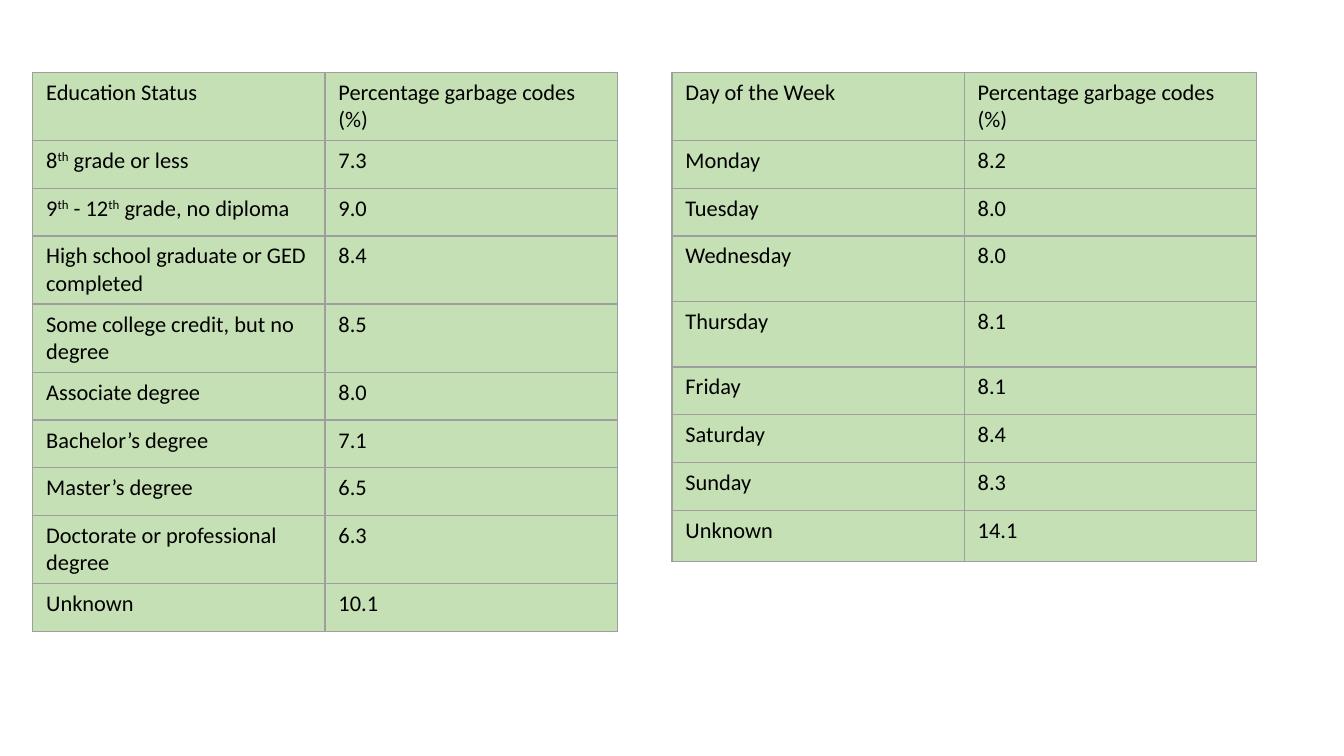
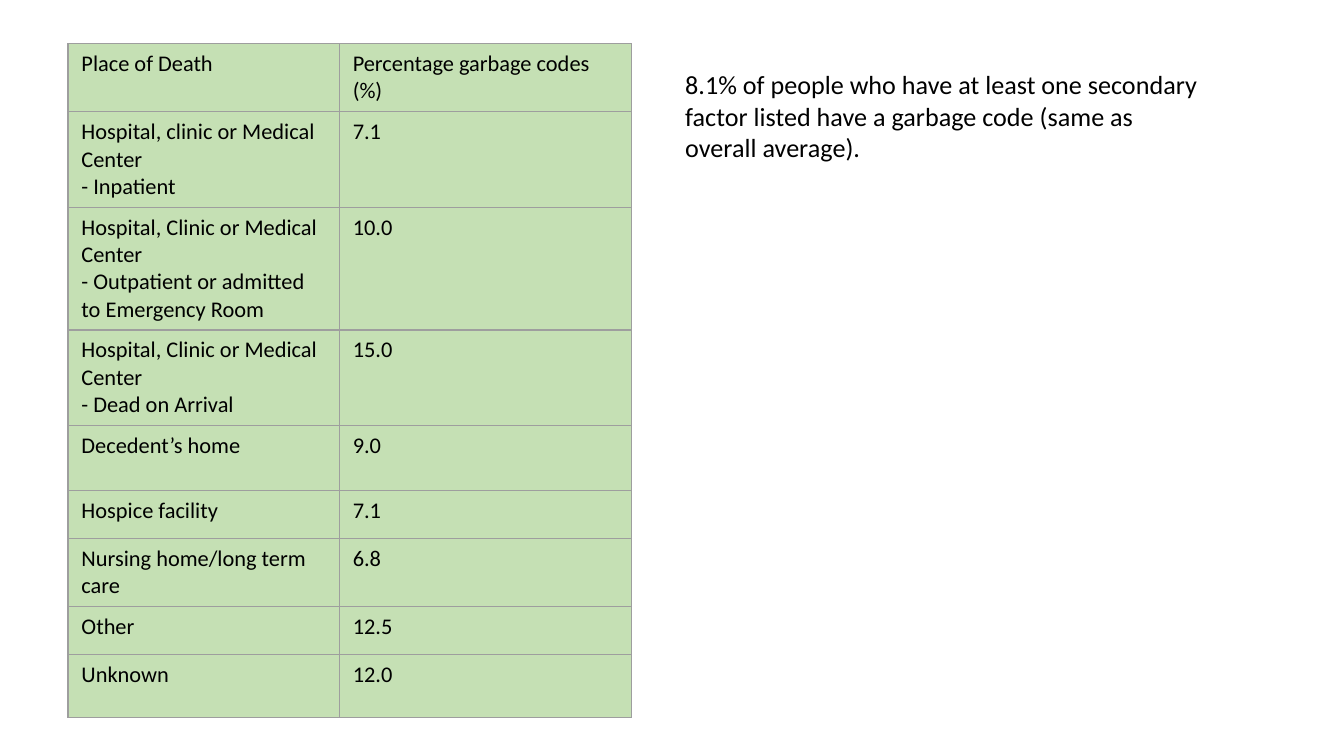
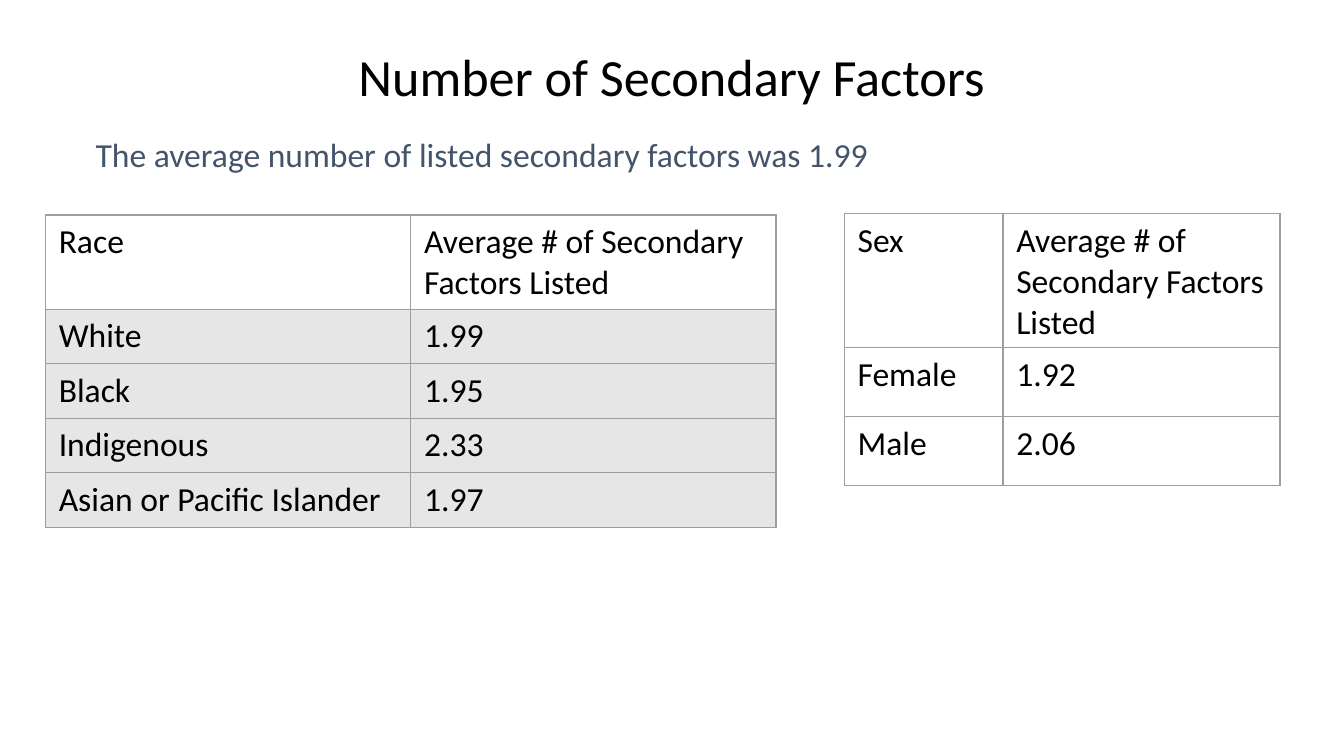
from lxml.etree import SubElement
from pptx import Presentation
from pptx.dml.color import RGBColor
from pptx.enum.text import MSO_ANCHOR, PP_ALIGN
from pptx.oxml.ns import qn
from pptx.util import Pt

PX = 5715  # EMU per px: 160 px to the inch
BLACK = RGBColor(0x00, 0x00, 0x00)
SLATE = RGBColor(0x44, 0x54, 0x6A)
GREEN = RGBColor(0xC5, 0xE0, 0xB4)
GRAY = RGBColor(0xE7, 0xE6, 0xE6)
BORDER = RGBColor(0x9E, 0x9E, 0x9E)

GARBAGE = "Percentage garbage codes (%)"
FACTORS = "Average # of Secondary Factors Listed"
ONE_LINE, TWO_LINES = 57, 78
GREEN_COLUMN = 348


def write(frame, text, size, color=BLACK):
    """Write text: \\n parts paragraphs, \\v breaks a line, ^...^ is superscript."""
    frame.word_wrap = True
    for n, passage in enumerate(text.split("\n")):
        paragraph = frame.add_paragraph() if n else frame.paragraphs[0]
        for m, line in enumerate(passage.split("\v")):
            if m:
                paragraph.add_line_break()
            for k, piece in enumerate(line.split("^")):
                run = paragraph.add_run()
                run.text = piece
                for name, value in {"name": "Calibri", "size": Pt(size)}.items():
                    setattr(run.font, name, value)
                run.font.color.rgb = color
                if k % 2:
                    run._r.get_or_add_rPr().set("baseline", "30000")


def add_table(slide, left, top, widths, heights, rows, size, header_fill, body_fill):
    box = (left, top, sum(widths), sum(heights))
    table = slide.shapes.add_table(len(rows), len(widths), *(v * PX for v in box)).table
    table.first_row = table.horz_banding = False
    for column, width in zip(table.columns, widths):
        column.width = width * PX
    for r, (values, height) in enumerate(zip(rows, heights)):
        table.rows[r].height = height * PX
        fill = body_fill if r else header_fill
        for c, value in enumerate(values):
            cell = table.cell(r, c)
            write(cell.text_frame, value, size)
            if fill is None:
                cell.fill.background()
            else:
                cell.fill.solid()
                cell.fill.fore_color.rgb = fill
            properties = cell._tc.get_or_add_tcPr()
            for n, side in enumerate(("lnL", "lnR", "lnT", "lnB")):
                line = SubElement(properties, qn(f"a:{side}"), w=str(Pt(0.75)))
                solid = SubElement(line, qn("a:solidFill"))
                SubElement(solid, qn("a:srgbClr"), val=str(BORDER))
                properties.insert(n, line)


prs = Presentation()
prs.slide_width, prs.slide_height = 1600 * PX, 900 * PX
by_group, by_place, secondary = (
    prs.slides.add_slide(prs.slide_layouts[6]) for _ in range(3)
)

# Garbage codes by education, day and place
education = [
    ("Education Status", GARBAGE),
    ("8^th^ grade or less", "7.3"),
    ("9^th^ - 12^th^ grade, no diploma", "9.0"),
    ("High school graduate or GED completed", "8.4"),
    ("Some college credit, but no degree", "8.5"),
    ("Associate degree", "8.0"),
    ("Bachelor’s degree", "7.1"),
    ("Master’s degree", "6.5"),
    ("Doctorate or professional degree", "6.3"),
    ("Unknown", "10.1"),
]
weekdays = [
    ("Day of the Week", GARBAGE),
    ("Monday", "8.2"),
    ("Tuesday", "8.0"),
    ("Wednesday", "8.0"),
    ("Thursday", "8.1"),
    ("Friday", "8.1"),
    ("Saturday", "8.4"),
    ("Sunday", "8.3"),
    ("Unknown", "14.1"),
]
places = [
    ("Place of Death", GARBAGE),
    ("Hospital, clinic or Medical Center\v- Inpatient", "7.1"),
    ("Hospital, Clinic or Medical Center\v- Outpatient or admitted to Emergency Room", "10.0"),
    ("Hospital, Clinic or Medical Center\n- Dead on Arrival", "15.0"),
    ("Decedent’s home", "9.0"),
    ("Hospice facility", "7.1"),
    ("Nursing home/long term care", "6.8"),
    ("Other", "12.5"),
    ("Unknown", "12.0"),
]
shared_heights = [TWO_LINES, *[ONE_LINE] * 2, *[TWO_LINES] * 2, *[ONE_LINE] * 3]
for slide, left, top, label_width, last_heights, rows in (
    (by_group, 39, 86, GREEN_COLUMN, [TWO_LINES, ONE_LINE], education),
    (by_group, 800, 86, GREEN_COLUMN, [61], weekdays),
    (by_place, 81, 52, 323, [75], places),
):
    add_table(slide, left, top, [label_width, GREEN_COLUMN],
              shared_heights + last_heights, rows, 12, GREEN, GREEN)

remark = by_place.shapes.add_textbox(800 * PX, 74 * PX, 650 * PX, 130 * PX)
write(remark.text_frame, "8.1% of people who have at least one secondary factor listed "
      "have a garbage code (same as overall average).", 14)

# Number of secondary factors
title = secondary.shapes.add_textbox(54 * PX, 34 * PX, 1491 * PX, 110 * PX).text_frame
subtitle = secondary.shapes.add_textbox(98 * PX, 144 * PX, 1307 * PX, 110 * PX).text_frame
write(title, "Number of Secondary Factors", 28)
write(subtitle, "The average number of listed secondary factors was 1.99", 18, SLATE)
for heading in (title, subtitle):
    for side in ("left", "top", "right", "bottom"):
        setattr(heading, f"margin_{side}", 16 * PX)
title.vertical_anchor = MSO_ANCHOR.BOTTOM
for name, value in {"alignment": PP_ALIGN.CENTER, "line_spacing": 0.9}.items():
    setattr(title.paragraphs[0], name, value)

races = [
    ("Race", FACTORS),
    ("White", "1.99"),
    ("Black", "1.95"),
    ("Indigenous", "2.33"),
    ("Asian or Pacific Islander", "1.97"),
]
sexes = [("Sex", FACTORS), ("Female", "1.92"), ("Male", "2.06")]
add_table(secondary, 54, 256, [435, 435], [65] * 5, races, 18, None, GRAY)
add_table(secondary, 1005, 254, [189, 330], [125, 82, 82], sexes, 18, None, None)

prs.save("out.pptx")
